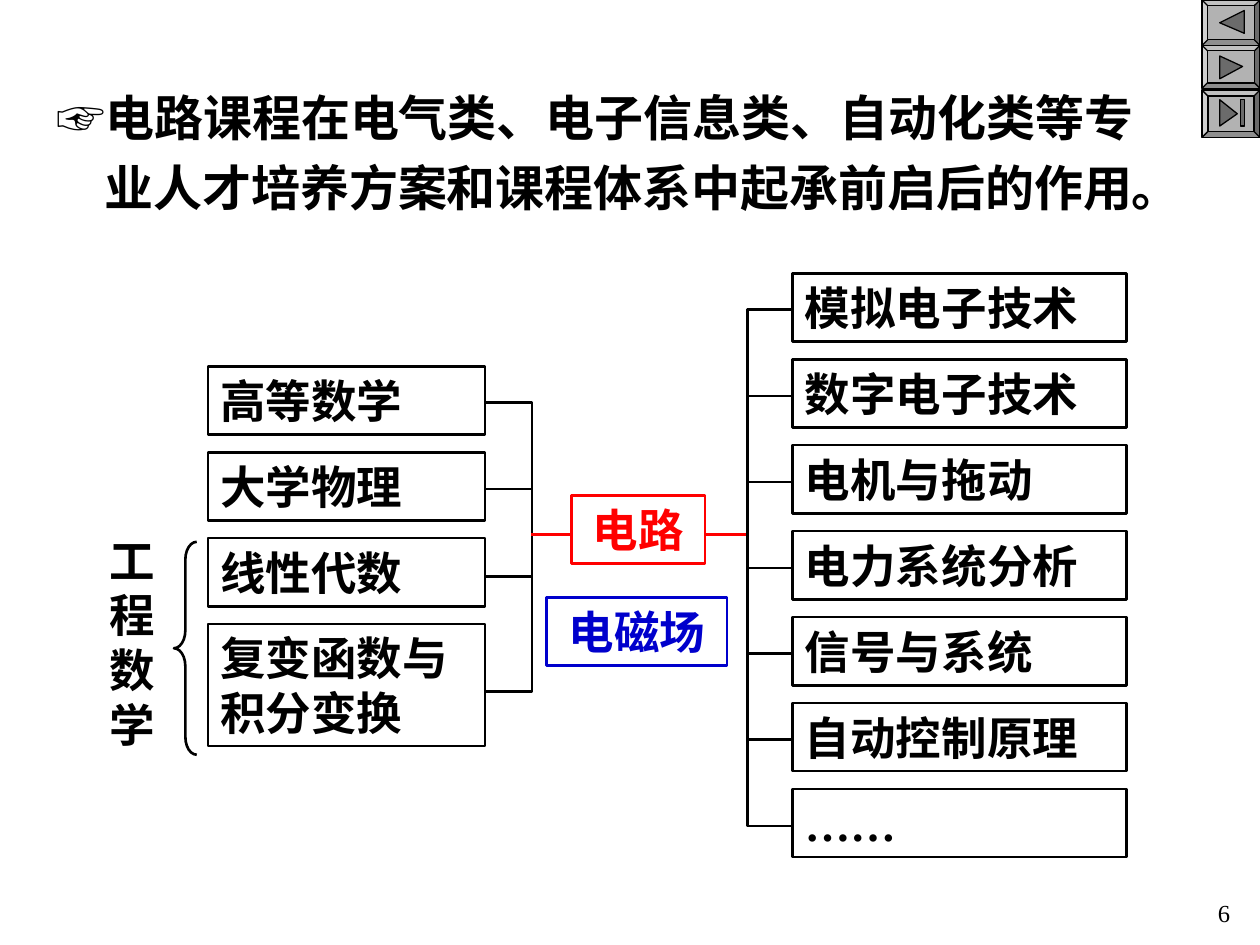
from lxml import etree
from pptx import Presentation
from pptx.dml.color import RGBColor
from pptx.enum.shapes import MSO_CONNECTOR, MSO_SHAPE
from pptx.enum.text import PP_ALIGN
from pptx.oxml.ns import qn
from pptx.util import Pt

RECTANGLE = MSO_SHAPE.RECTANGLE
BEVEL = MSO_SHAPE.BEVEL
LEFT_BRACE = MSO_SHAPE.LEFT_BRACE
STRAIGHT = MSO_CONNECTOR.STRAIGHT
LEFT = PP_ALIGN.LEFT
CENTER = PP_ALIGN.CENTER
RIGHT = PP_ALIGN.RIGHT

COLORS = {
    "black": "000000",
    "red": "FF0000",
    "blue": "0000CC",
    "button": "B2B2B2",
    "icon": "6B6B6B",
}
SERIF = "Times New Roman"
ROW_HEIGHT = 39
LEFT_EDGE, LEFT_WIDTH, LEFT_TRUNK = 118.8, 158.4, 303.5
RIGHT_EDGE, RIGHT_WIDTH, RIGHT_TRUNK = 452.9, 190.8, 426.6
CENTER_Y = 305.3

BASIC_COURSES = [
    ("高等数学", ROW_HEIGHT),
    ("大学物理", ROW_HEIGHT),
    ("线性代数", ROW_HEIGHT),
    ("复变函数与积分变换", 69.8),
]
LATER_COURSES = [
    "模拟电子技术",
    "数字电子技术",
    "电机与拖动",
    "电力系统分析",
    "信号与系统",
    "自动控制原理",
    "……",
]
BUTTONS = [
    (0, 26, [[(697, 12.9), (710.6, 6.5), (710.6, 19.4)]]),
    (25.9, 24.6, [[(697, 31.7), (710, 38.2), (697, 44.6)]]),
    (51.5, 27, [
        [(696.6, 57.4), (707.2, 64.8), (696.6, 72.4)],
        [(709, 57.4), (710.6, 57.4), (710.6, 72.4), (709, 72.4)],
    ]),
]


def rgb(name):
    return RGBColor.from_string(COLORS[name])


def outline(shape, color="black", weight=1.5, fill=None):
    shape.shadow.inherit = False
    shape.line.color.rgb = rgb(color)
    shape.line.width = Pt(weight)
    if fill:
        shape.fill.solid()
        shape.fill.fore_color.rgb = rgb(fill)
    else:
        shape.fill.background()


def write(para, text, size=26, color="black", font=SERIF, bold=True, align=LEFT):
    para.alignment = align
    span = para.add_run()
    span.text = text
    span.font.name = font
    span.font.size = Pt(size)
    span.font.bold = bold
    span.font.color.rgb = rgb(color)


def add_shape(page, kind, left, top, width, height, **style):
    shape = page.shapes.add_shape(kind, Pt(left), Pt(top), Pt(width), Pt(height))
    outline(shape, **style)
    return shape


def add_course(page, text, left, top, width, height=ROW_HEIGHT, color="black", align=LEFT):
    box = add_shape(page, RECTANGLE, left, top, width, height, color=color)
    box.text_frame.word_wrap = True
    write(box.text_frame.paragraphs[0], text, color=color, align=align)


def add_text_box(page, left, top, width, height):
    box = page.shapes.add_textbox(Pt(left), Pt(top), Pt(width), Pt(height))
    box.text_frame.word_wrap = True
    return box.text_frame.paragraphs[0]


def add_link(page, start, end, y, color="black"):
    link = page.shapes.add_connector(STRAIGHT, Pt(start), Pt(y), Pt(end), Pt(y))
    link.line.color.rgb = rgb(color)
    link.line.width = Pt(1.5)
    etree.SubElement(link._element.spPr, qn("a:effectLst"))


def add_outline(page, points, close=False, **style):
    builder = page.shapes.build_freeform(*points[0], scale=Pt(1))
    builder.add_line_segments(points[1:], close=close)
    outline(builder.convert_to_shape(), **style)


def add_tree(page, edge, trunk, levels):
    top, *middle, bottom = levels
    add_outline(page, [(edge, top), (trunk, top), (trunk, bottom), (edge, bottom)])
    for y in middle:
        add_link(page, trunk, edge, y)


def add_buttons(page):
    for top, height, icons in BUTTONS:
        add_shape(page, BEVEL, 686.9, top, 33.1, height, weight=0.75, fill="button")
        for points in icons:
            add_outline(page, points, close=True, weight=0.75, fill="icon")


def add_heading(page):
    para = add_text_box(page, 25.2, 39.6, 656.6, 87.8)
    properties = para._p.get_or_add_pPr()
    properties.set("marL", str(int(Pt(27.4))))
    properties.set("indent", str(int(Pt(-27.4))))
    para.line_spacing = 1.2
    write(para, "☞", size=28, font="Arial")
    write(
        para,
        "电路课程在电气类、电子信息类、自动化类等专业人才培养方案和课程体系中起承前启后的作用。",
        size=28,
    )


def add_basic_courses(page):
    for row, (course, height) in enumerate(BASIC_COURSES):
        add_course(page, course, LEFT_EDGE, 209.5 + 49 * row, LEFT_WIDTH, height)
    add_tree(page, LEFT_EDGE + LEFT_WIDTH, LEFT_TRUNK, [229.8, 279.5, 329.6, 395])
    brace = add_shape(page, LEFT_BRACE, 99.4, 309.6, 13, 121.7)
    brace.adjustments[0] = 0.78
    write(add_text_box(page, 55.4, 301, 40.3, 132.5), "工程数学")


def add_central_courses(page):
    add_course(page, "电磁场", 312.5, 341.3, 103, color="blue", align=CENTER)
    add_course(page, "电路", 326.6, 283, 76.3, color="red", align=CENTER)
    add_link(page, LEFT_TRUNK, 326.6, CENTER_Y, color="red")
    add_link(page, 402.9, RIGHT_TRUNK, CENTER_Y, color="red")


def add_later_courses(page):
    for row, course in enumerate(LATER_COURSES):
        add_course(page, course, RIGHT_EDGE, 156.2 + 49.1 * row, RIGHT_WIDTH)
    levels = [177.2 + 49.1 * row for row in range(len(LATER_COURSES))]
    add_tree(page, RIGHT_EDGE, RIGHT_TRUNK, levels)


def main():
    deck = Presentation()
    deck.slide_width, deck.slide_height = Pt(720), Pt(540)
    page = deck.slides.add_slide(deck.slide_layouts[6])
    add_buttons(page)
    add_basic_courses(page)
    add_central_courses(page)
    add_later_courses(page)
    add_heading(page)
    number = add_text_box(page, 560.2, 509.8, 149.8, 28.8)
    write(number, "6", size=14, bold=False, align=RIGHT)
    deck.save("out.pptx")


if __name__ == "__main__":
    main()
